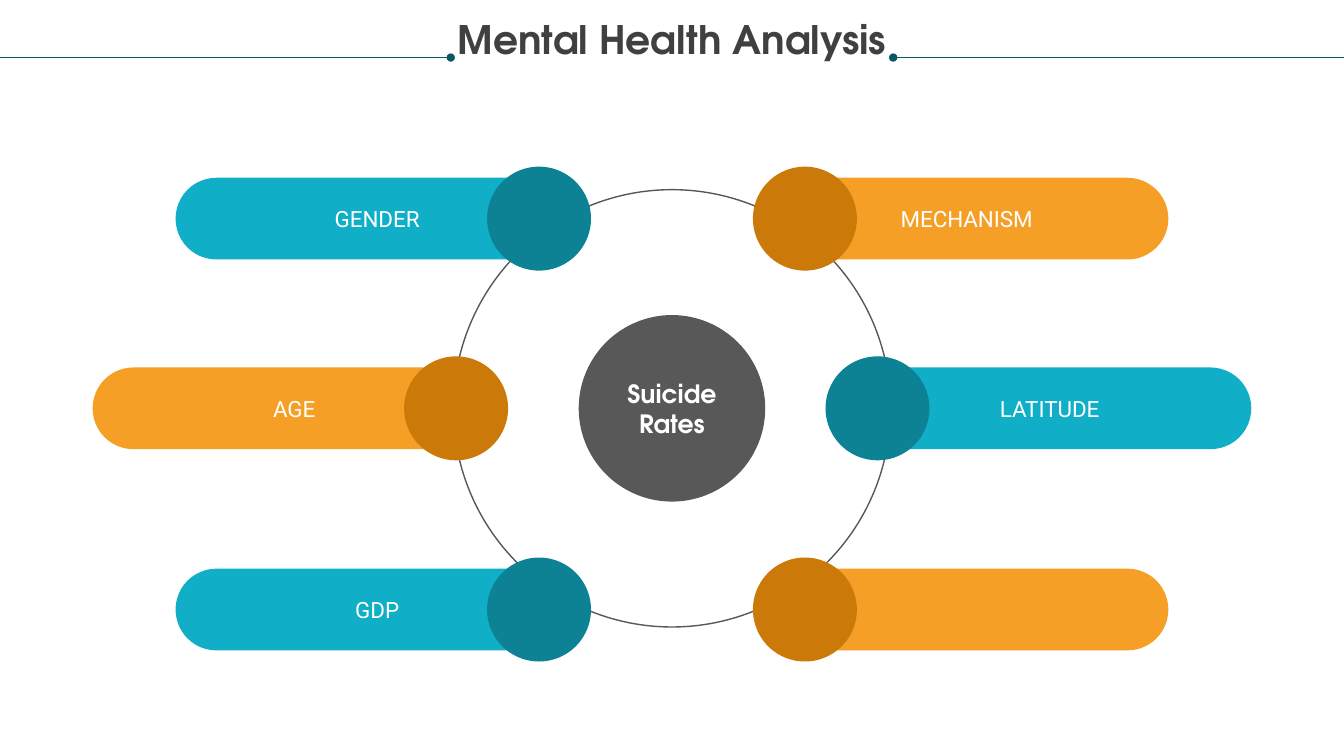
import pptx
import pptx.util
import pptx.dml.color
import pptx.enum.shapes
import pptx.enum.text
import pptx.oxml.ns
import lxml.etree

Cm, Pt = pptx.util.Cm, pptx.util.Pt
RGBColor = pptx.dml.color.RGBColor
SHAPE = pptx.enum.shapes.MSO_SHAPE
ANCHOR = pptx.enum.text.MSO_ANCHOR
ALIGN = pptx.enum.text.PP_ALIGN
qn = pptx.oxml.ns.qn

WHITE = RGBColor(0xFF, 0xFF, 0xFF)
INK = RGBColor(0x40, 0x40, 0x40)
GREY = RGBColor(0x58, 0x58, 0x58)
RULE = RGBColor(0x08, 0x57, 0x64)
TEAL = RGBColor(0x11, 0xAE, 0xC7)
DEEP_TEAL = RGBColor(0x0D, 0x82, 0x95)
ORANGE = RGBColor(0xF5, 0x9F, 0x26)
DEEP_ORANGE = RGBColor(0xCB, 0x7A, 0x09)

SLIDE_W, SLIDE_H = 33.87, 19.05
HEADING = {"name": "TeX Gyre Adventor", "bold": True}
TITLE_FONT = {**HEADING, "size": Pt(28)}
HUB_FONT = {**HEADING, "size": Pt(18)}
LABEL_FONT = {"name": "Roboto", "size": Pt(16)}

# Label, side (-1 left, 1 right), height of centre, pill's outer reach,
# badge's distance from the centre line, pill colour, badge colour
FACTORS = [
    ("MECHANISM", 1, 5.51, 12.51, 3.35, ORANGE, DEEP_ORANGE),
    ("LATITUDE", 1, 10.29, 14.6, 5.18, TEAL, DEEP_TEAL),
    ("", 1, 15.36, 12.51, 3.35, ORANGE, DEEP_ORANGE),
    ("GENDER", -1, 5.51, 12.51, 3.35, TEAL, DEEP_TEAL),
    ("AGE", -1, 10.29, 14.6, 5.44, ORANGE, DEEP_ORANGE),
    ("GDP", -1, 15.36, 12.51, 3.35, TEAL, DEEP_TEAL),
]
PILL_W, PILL_H, BADGE = 10.16, 2.06, 2.62


def write(shape, text, font, color):
    """Put centred text with the given font values into a shape."""
    shape.text_frame.word_wrap = True
    paragraph = shape.text_frame.paragraphs[0]
    paragraph.alignment = ALIGN.CENTER
    run = paragraph.add_run()
    run.text = text
    for name, value in font.items():
        setattr(run.font, name, value)
    run.font.color.rgb = color
    return paragraph


def centred_shape(slide, kind, x, y, width, height, fill=None):
    """Add a flat shape centred on x, y; without a fill it gets an outline."""
    shape = slide.shapes.add_shape(
        kind, Cm(x - width / 2), Cm(y - height / 2), Cm(width), Cm(height))
    shape.shadow.inherit = False
    if fill is None:
        shape.fill.background()
        shape.line.color.rgb = GREY
        shape.line.width = Pt(1)
    else:
        shape.fill.solid()
        shape.fill.fore_color.rgb = fill
        shape.line.fill.background()
    shape.text_frame.vertical_anchor = ANCHOR.MIDDLE
    return shape


def add_rule(slide, start, end, y, dot):
    """Draw a horizontal rule with a dot at its headEnd or tailEnd."""
    rule = slide.shapes.add_connector(
        pptx.enum.shapes.MSO_CONNECTOR.STRAIGHT, Cm(start), Cm(y), Cm(end), Cm(y))
    rule.line.color.rgb = RULE
    rule.line.width = Pt(0.5)
    lxml.etree.SubElement(rule.line._get_or_add_ln(), qn("a:" + dot), type="oval")
    lxml.etree.SubElement(rule._element.spPr, qn("a:effectLst"))


def add_header(slide, left, top, width, height):
    """Place the title in the box, between two dotted rules."""
    rule_y, rule_length = top + 1.45, 11.36
    add_rule(slide, left + width - rule_length, left + width, rule_y, "headEnd")
    add_rule(slide, left, left + rule_length, rule_y, "tailEnd")
    margin = 0.64
    title = slide.shapes.add_textbox(
        Cm(left + margin), Cm(top + 0.53), Cm(width - 2 * margin), Cm(height - 0.53))
    for side in ("left", "top", "right", "bottom"):
        setattr(title.text_frame, "margin_" + side, 0)
    write(title, "Mental Health Analysis", TITLE_FONT, INK).line_spacing = 0.9


def add_factor(slide, centre_x, factor):
    """Place one labelled pill and its badge on one side of the centre line."""
    label, side, y, reach, badge_offset, pill_color, badge_color = factor
    pill = centred_shape(slide, SHAPE.ROUNDED_RECTANGLE,
                         centre_x + side * (reach - PILL_W / 2), y,
                         PILL_W, PILL_H, pill_color)
    pill.adjustments[0] = 0.5
    if label:
        write(pill, label, LABEL_FONT, WHITE)
    centred_shape(slide, SHAPE.OVAL, centre_x + side * badge_offset, y,
                  BADGE, BADGE, badge_color)


def add_wheel(slide, left, top, width, height):
    """Place the ring, the hub and the six factors, centred in the box."""
    x, y = left + width / 2, top + height / 2
    centred_shape(slide, SHAPE.OVAL, x, y, 11.02, 11.02)
    hub = centred_shape(slide, SHAPE.OVAL, x, y, 4.7, 4.7, GREY)
    write(hub, "Suicide Rates", HUB_FONT, WHITE)
    for label, side, factor_y, *rest in FACTORS:
        add_factor(slide, x, (label, side, y + factor_y - 10.29, *rest))


presentation = pptx.Presentation()
presentation.slide_width = Cm(SLIDE_W)
presentation.slide_height = Cm(SLIDE_H)
analysis = presentation.slides.add_slide(presentation.slide_layouts[6])
add_header(analysis, 0, 0, SLIDE_W, 2.69)
add_wheel(analysis, 0, 4.2, SLIDE_W, 12.18)
presentation.save("out.pptx")
